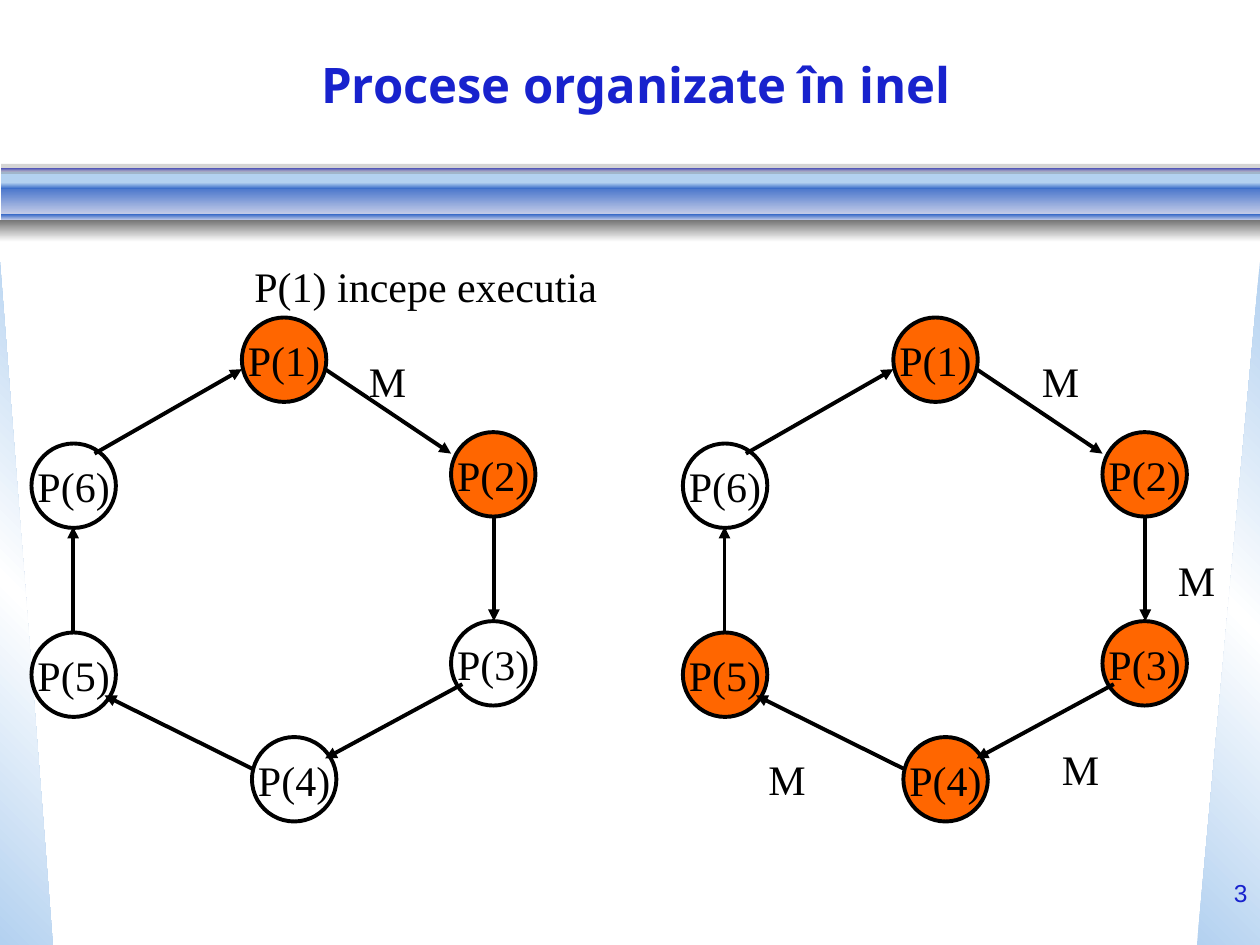
from lxml import etree
from pptx import Presentation
from pptx.dml.color import RGBColor
from pptx.enum import shapes, text
from pptx.oxml import parse_xml
from pptx.oxml.ns import nsdecls, qn
from pptx.util import Inches, Pt

BLACK, BLUE, ORANGE = "000000", "1822CD", "FF6600"
PALE, MIDDLE, MIST = "B3D1F0", "3568C7", "CAD0E9"
SERIF = "Times New Roman"
DIAMETER = 0.67
NODES = [(1.67, 0), (3.33, 0.91), (3.33, 2.41), (1.75, 3.33), (0, 2.5), (0, 1)]
ARROWS = [
    ((2.33, 0.41), (3.33, 1.08)),
    ((3.67, 1.58), (3.67, 2.41)),
    ((3.42, 2.91), (2.33, 3.5)),
    ((1.75, 3.58), (0.58, 3)),
    ((0.33, 2.5), (0.33, 1.66)),
    ((0.5, 1.08), (1.67, 0.41)),
]


def color(value):
    return RGBColor.from_string(value)


def add_span(frame, words, size, font, shade, align=text.PP_ALIGN.LEFT, bold=False):
    para = frame.paragraphs[0]
    para.alignment = align
    span = para.add_run()
    span.text = words
    span.font.size = Pt(size)
    span.font.name = font
    span.font.bold = bold
    span.font.color.rgb = color(shade)


def add_label(page, left, top, width, height, words, size=24, font=SERIF,
              shade=BLACK, align=text.PP_ALIGN.LEFT, bold=False,
              anchor=text.MSO_ANCHOR.TOP):
    box = page.shapes.add_textbox(*map(Inches, (left, top, width, height)))
    box.text_frame.word_wrap = True
    box.text_frame.vertical_anchor = anchor
    add_span(box.text_frame, words, size, font, shade, align, bold)


def add_plain(page, kind, left, top, width, height):
    shape = page.shapes.add_shape(kind, *map(Inches, (left, top, width, height)))
    shape.shadow.inherit = False
    shape.line.fill.background()
    return shape


def fill_gradient(shape, shades, angle):
    step = 100000 // (len(shades) - 1)
    stops = "".join(
        f'<a:gs pos="{index * step}"><a:srgbClr val="{shade}"/></a:gs>'
        for index, shade in enumerate(shades)
    )
    gradient = parse_xml(
        f'<a:gradFill {nsdecls("a")} rotWithShape="1"><a:gsLst>{stops}</a:gsLst>'
        f'<a:lin ang="{angle * 60000}" scaled="0"/></a:gradFill>'
    )
    shape._element.spPr.find(qn("a:prstGeom")).addnext(gradient)


def draw_side_wedges(page, top, height):
    kind = shapes.MSO_SHAPE.RIGHT_TRIANGLE
    for left, width, angle in ((0, 0.42, 315), (9.5, 0.5, 45)):
        wedge = add_plain(page, kind, left, top, width, height)
        fill_gradient(wedge, (PALE, "FFFFFF", PALE), angle)
    wedge._element.spPr.xfrm.set("flipH", "1")


def draw_band(page, left, top, width):
    kind = shapes.MSO_SHAPE.RECTANGLE
    strips = [
        (0.06, 0.1, (PALE, PALE)),
        (0.16, 0.25, (MIDDLE, MIST)),
        (0.03, 0.03, (BLUE, "BABBE7")),
        (0.4, 0.05, (MIDDLE, MIST)),
        (0.15, 0.05, (PALE, MIDDLE)),
    ]
    for offset, height, shades in strips:
        strip = add_plain(page, kind, left, top + offset, width, height)
        fill_gradient(strip, shades, 90)
    shade = add_plain(page, kind, 0, top + 0.45, 10, 0.17)
    fill_gradient(shade, ("777777", "FFFFFF"), 90)
    veil = add_plain(page, kind, left, top, width, 0.08)
    veil.fill.solid()
    veil.fill.fore_color.rgb = color("777777")
    tint = veil._element.spPr.find(".//" + qn("a:srgbClr"))
    etree.SubElement(tint, qn("a:alpha")).set("val", "31000")


def draw_process(page, left, top, words, active):
    circle = add_plain(page, shapes.MSO_SHAPE.OVAL, left, top, DIAMETER, DIAMETER)
    if active:
        circle.fill.solid()
        circle.fill.fore_color.rgb = color(ORANGE)
    else:
        circle.fill.background()
    circle.line.color.rgb = color(BLACK)
    circle.line.width = Pt(2.25)
    frame = circle.text_frame
    frame.word_wrap = False
    frame.vertical_anchor = text.MSO_ANCHOR.MIDDLE
    add_span(frame, words, 24, SERIF, BLACK, text.PP_ALIGN.CENTER)


def draw_arrow(page, start, end):
    arrow = page.shapes.add_connector(
        shapes.MSO_CONNECTOR.STRAIGHT, *map(Inches, (*start, *end))
    )
    arrow.line.color.rgb = color(BLACK)
    arrow.line.width = Pt(2.25)
    etree.SubElement(arrow.line._get_or_add_ln(), qn("a:tailEnd")).set("type", "triangle")
    etree.SubElement(arrow._element.spPr, qn("a:effectLst"))


def draw_ring(page, left, top, active, messages):
    for number, (across, down) in enumerate(NODES, 1):
        draw_process(page, left + across, top + down, f"P({number})", number in active)
    for ends in ARROWS:
        draw_arrow(page, *((left + across, top + down) for across, down in ends))
    for across, down in messages:
        add_label(page, left + across, top + down, 0.5, 0.5, "M")


def main():
    deck = Presentation()
    deck.slide_width, deck.slide_height = Inches(10), Inches(7.5)
    page = deck.slides.add_slide(deck.slide_layouts[6])
    draw_side_wedges(page, 2.08, 5.42)
    draw_band(page, 0.01, 1.3, 9.99)
    add_label(page, 0.17, 0.08, 9.75, 1.17, "Procese organizate în inel", 28,
              "Noto Sans", BLUE, text.PP_ALIGN.CENTER, True, text.MSO_ANCHOR.MIDDLE)
    draw_ring(page, 0.25, 2.52, {1, 2}, [(2.58, 0.25)])
    draw_ring(page, 5.42, 2.52, {1, 2, 3, 4, 5},
              [(2.75, 0.25), (3.83, 1.83), (2.91, 3.33), (0.58, 3.41)])
    add_label(page, 1.92, 2.02, 3.42, 0.5, "P(1) incepe executia")
    add_label(page, 9.5, 6.92, 0.5, 0.58, "3", 14, "Arial", BLUE, text.PP_ALIGN.RIGHT)
    deck.save("out.pptx")


if __name__ == "__main__":
    main()
